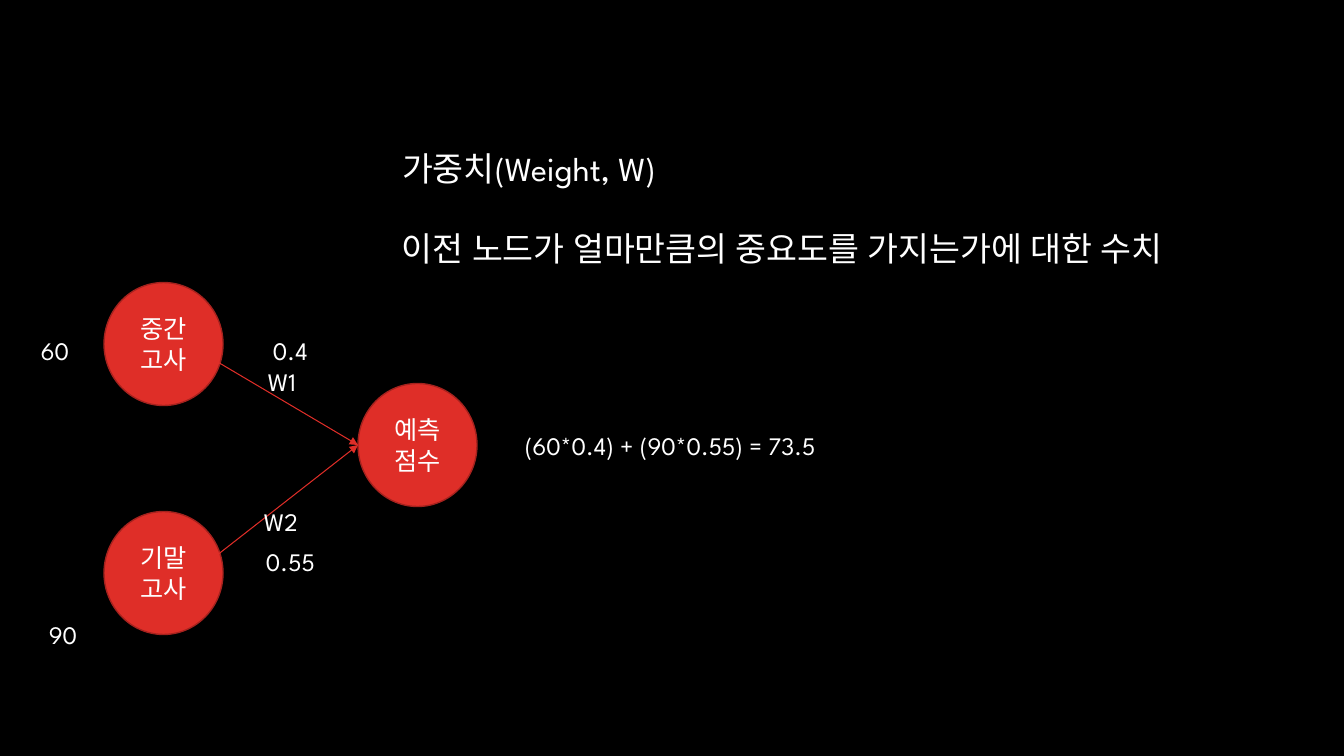
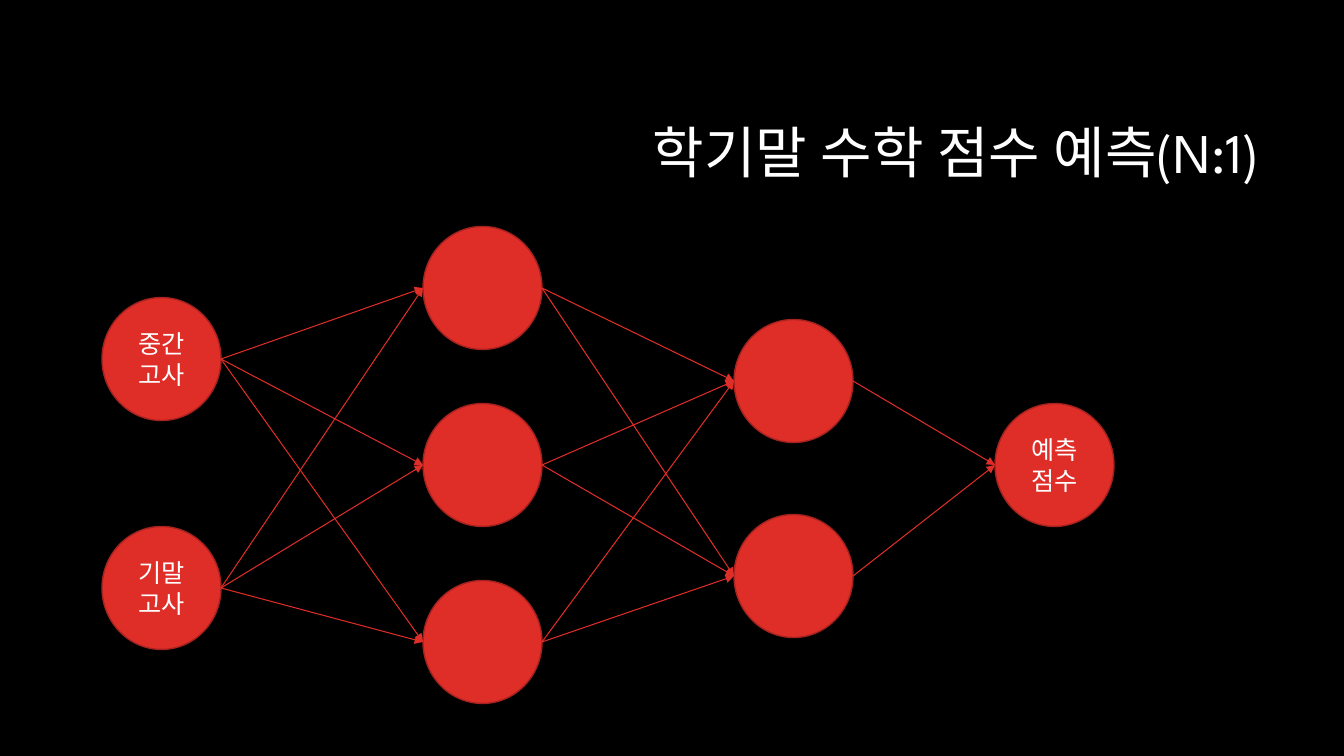
"""Build two slides that explain weights in a small neural network."""
from dataclasses import dataclass
from itertools import pairwise, product
from math import copysign

from lxml.etree import SubElement
from pptx import Presentation
from pptx.dml.color import RGBColor
from pptx.enum.shapes import MSO_CONNECTOR, MSO_SHAPE
from pptx.enum.text import MSO_ANCHOR, MSO_AUTO_SIZE, PP_ALIGN
from pptx.oxml.ns import qn
from pptx.util import Emu, Pt


@dataclass(frozen=True)
class Theme:
    font: str = "League Spartan"
    back: RGBColor = RGBColor(0x00, 0x00, 0x00)
    text: RGBColor = RGBColor(0xFF, 0xFF, 0xFF)
    node: RGBColor = RGBColor(0xDF, 0x2E, 0x28)
    edge: RGBColor = RGBColor(0xA5, 0x22, 0x1E)
    title: int = 40
    lead: int = 24
    body: int = 18


T = Theme()
SLIDE_W, SLIDE_H = 1344, 756
SCALE = 12192000 / SLIDE_W
NODE_W, NODE_H = 119, 123
LABEL_W, LABEL_H = 80, 40

INPUTS = ["중간고사", "기말고사"]
OUTPUT = ["예측점수"]

WEIGHT_TITLE = "가중치(Weight, W)"
WEIGHT_LEAD = "이전 노드가 얼마만큼의 중요도를 가지는가에 대한 수치"
WEIGHT_LAYERS = [
    (104, 344, 229, INPUTS),
    (358, 445, 0, OUTPUT),
]
WEIGHT_LABELS = [
    ("W1", 258, 361),
    ("W2", 254, 501),
    ("0.4", 263, 330),
    ("0.55", 256, 541),
    ("60", 31, 330),
    ("90", 39, 614),
    ("(60*0.4) + (90*0.55) = 73.5", 515, 425, 400),
]

SCORE_TITLE = "학기말 수학 점수 예측(N:1)"
SCORE_LAYERS = [
    (102, 359, 229, INPUTS),
    (423, 288, 177, [""] * 3),
    (734, 381, 195, [""] * 2),
    (995, 465, 0, OUTPUT),
]


def px(*values):
    return [Emu(round(v * SCALE)) for v in values]


def write(tf, text, size, align=PP_ALIGN.LEFT):
    tf.text = text
    p = tf.paragraphs[0]
    p.alignment = align
    p.font.name, p.font.size, p.font.color.rgb = T.font, Pt(size), T.text
    SubElement(p.font._element, qn("a:ea"), typeface=T.font)
    return p


def add_title(s, text, box, size, align, anchor):
    sp = s.shapes.title
    sp.left, sp.top, sp.width, sp.height = px(*box)
    tf = sp.text_frame
    tf.auto_size, tf.vertical_anchor = MSO_AUTO_SIZE.NONE, anchor
    write(tf, text, size, align).line_spacing = 0.9 if size == T.title else 1.0


def add_label(s, text, x, y, w=LABEL_W, h=LABEL_H, size=T.body):
    tf = s.shapes.add_textbox(*px(x, y, w, h)).text_frame
    tf.word_wrap, tf.auto_size = True, MSO_AUTO_SIZE.NONE
    write(tf, text, size)


def add_node(s, text, x, mid):
    sp = s.shapes.add_shape(MSO_SHAPE.OVAL, *px(x, mid - NODE_H / 2, NODE_W, NODE_H))
    sp.shadow.inherit = False
    sp.fill.solid()
    sp.fill.fore_color.rgb = T.node
    sp.line.color.rgb, sp.line.width = T.edge, Pt(1)
    if text:
        tf = sp.text_frame
        tf.word_wrap, tf.vertical_anchor = True, MSO_ANCHOR.MIDDLE
        write(tf, text, T.body, PP_ALIGN.CENTER)


def add_arrow(s, start, end):
    cxn = s.shapes.add_connector(MSO_CONNECTOR.STRAIGHT, *px(*start, *end))
    cxn.line.color.rgb, cxn.line.width = T.node, Pt(0.75)
    SubElement(cxn.line._get_or_add_ln(), qn("a:tailEnd"), type="triangle")
    SubElement(cxn._element.spPr, qn("a:effectLst"))


def add_network(s, layers, inset=0, lean=0):
    columns = []
    for x, first, pitch, names in layers:
        mids = [first + i * pitch for i in range(len(names))]
        columns.append((x, mids))
        for name, mid in zip(names, mids):
            add_node(s, name, x, mid)
    for (x1, mids1), (x2, mids2) in pairwise(columns):
        for y1, y2 in product(mids1, mids2):
            start = x1 + NODE_W - inset, y1 + copysign(lean, y2 - y1)
            add_arrow(s, start, (x2, y2))


def weight_slide(s):
    add_title(s, WEIGHT_TITLE, (392, 143, 857, 56), T.lead, PP_ALIGN.LEFT, MSO_ANCHOR.TOP)
    add_network(s, WEIGHT_LAYERS, inset=7, lean=17)
    add_label(s, WEIGHT_LEAD, 392, 223, 857, 56, T.lead)
    for label in WEIGHT_LABELS:
        add_label(s, *label)


def score_slide(s):
    add_title(s, SCORE_TITLE, (320, 84, 950, 142), T.title, PP_ALIGN.RIGHT, MSO_ANCHOR.MIDDLE)
    add_network(s, SCORE_LAYERS)


def main():
    prs = Presentation()
    prs.slide_width, prs.slide_height = px(SLIDE_W, SLIDE_H)
    fill = prs.slide_master.background.fill
    fill.solid()
    fill.fore_color.rgb = T.back
    for build in (weight_slide, score_slide):
        build(prs.slides.add_slide(prs.slide_layouts[5]))
    prs.save("out.pptx")


if __name__ == "__main__":
    main()
